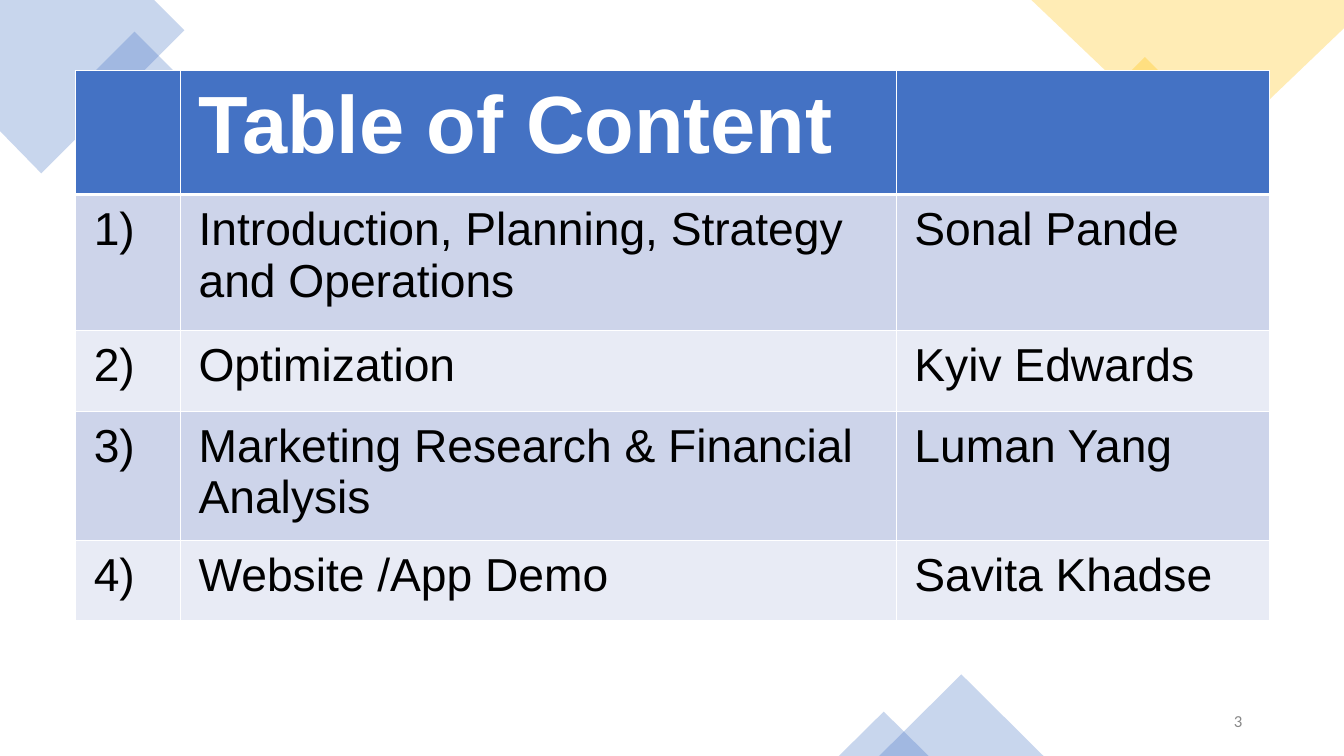
from lxml import etree
from pptx import Presentation
from pptx import util as u
from pptx.dml.color import RGBColor
from pptx.enum import shapes, text
from pptx.oxml import ns

COLOURS = {
    "blue": "4472C4",
    "gold": "FFC000",
    "band_dark": "CDD4EA",
    "band_light": "E8EBF5",
    "white": "FFFFFF",
    "black": "000000",
    "grey": "888888",
}


class SlideBuilder:
    """Holds the style and the current slide."""

    alpha = 29
    cell_margins = (0.18, 0.09)

    def __init__(self, page):
        self.page = page

    def colour(self, name):
        return RGBColor.from_string(COLOURS[name])

    def tint(self, shape, name):
        """Give a shape a see-through fill with no outline or shadow."""
        shape.shadow.inherit = False
        shape.line.fill.background()
        shape.fill.solid()
        shape.fill.fore_color.rgb = self.colour(name)
        srgb = shape._element.spPr.find(".//" + ns.qn("a:srgbClr"))
        etree.SubElement(srgb, ns.qn("a:alpha"), val=str(self.alpha * 1000))

    def preset(self, kind, place, name, rotation=0):
        shape = self.page.shapes.add_shape(kind, *map(u.Inches, place))
        shape.rotation = rotation
        self.tint(shape, name)

    def polygon(self, points, name):
        corners = [(u.Inches(x), u.Inches(y)) for x, y in points]
        builder = self.page.shapes.build_freeform(*corners[0])
        builder.add_line_segments(corners[1:], close=True)
        self.tint(builder.convert_to_shape(), name)

    def add_span(self, para, words, size, font, name, bold=False):
        span = para.add_run()
        span.text = words
        span.font.size = u.Pt(size)
        span.font.name = font
        span.font.bold = bold
        span.font.color.rgb = self.colour(name)

    def label(self, place, words, size, font, name):
        box = self.page.shapes.add_textbox(*map(u.Inches, place))
        frame = box.text_frame
        frame.word_wrap = True
        frame.vertical_anchor = text.MSO_ANCHOR.MIDDLE
        para = frame.paragraphs[0]
        para.alignment = text.PP_ALIGN.RIGHT
        self.add_span(para, words, size, font, name)

    def borders(self, cell, top, bottom):
        properties = cell._tc.get_or_add_tcPr()
        for side, width in (("L", 1), ("R", 1), ("T", top), ("B", bottom)):
            line = etree.SubElement(properties, ns.qn("a:ln" + side), w=str(u.Pt(width)))
            fill = etree.SubElement(line, ns.qn("a:solidFill"))
            etree.SubElement(fill, ns.qn("a:srgbClr"), val=COLOURS["white"])

    def cell(self, cell, words, row):
        header = row == 0
        self.borders(cell, 3 if row == 1 else 1, 3 if header else 1)
        cell.fill.solid()
        band = "band_dark" if row % 2 else "band_light"
        cell.fill.fore_color.rgb = self.colour("blue" if header else band)
        across, down = map(u.Inches, self.cell_margins)
        cell.margin_left = cell.margin_right = across
        cell.margin_top = cell.margin_bottom = down
        if words:
            style = (58, "Arial", "white", True) if header else (33, "Arial", "black")
            self.add_span(cell.text_frame.paragraphs[0], words, *style)

    def table(self, left, top, widths, heights, rows):
        place = map(u.Inches, (left, top, sum(widths), sum(heights)))
        table = self.page.shapes.add_table(len(heights), len(widths), *place).table
        for column, width in zip(table.columns, widths):
            column.width = u.Inches(width)
        for index, (height, values) in enumerate(zip(heights, rows)):
            table.rows[index].height = u.Inches(height)
            for number, words in enumerate(values):
                self.cell(table.cell(index, number), words, index)


def main():
    deck = Presentation()
    deck.slide_width, deck.slide_height = u.Inches(13.33), u.Inches(7.5)
    slide = SlideBuilder(deck.slides.add_slide(deck.slide_layouts[6]))
    square = shapes.MSO_SHAPE.RECTANGLE
    triangle = shapes.MSO_SHAPE.ISOSCELES_TRIANGLE

    # Corner decorations
    slide.polygon([(1.53, 0), (0, 0), (0, 1.3), (0.41, 1.72), (1.83, 0.3)], "blue")
    slide.preset(square, (0.98, 0.46, 0.71, 0.71), "blue", 315)
    slide.preset(square, (10.98, 0.72, 0.75, 0.75), "gold", 315)
    slide.polygon([(13.33, 0), (10.23, 0), (11.93, 1.62), (13.33, 0.28)], "gold")

    # Bottom decorations
    slide.preset(triangle, (8.72, 6.69, 1.63, 0.81), "blue")
    slide.preset(triangle, (8.32, 7.06, 0.89, 0.44), "blue")

    # Contents table
    topics = [
        ("Introduction, Planning, Strategy and Operations", "Sonal Pande"),
        ("Optimization", "Kyiv Edwards"),
        ("Marketing Research & Financial Analysis", "Luman Yang"),
        ("Website /App Demo", "Savita Khadse"),
    ]
    rows = [("", "Table of Content", "")]
    rows += [(f"{number})", *topic) for number, topic in enumerate(topics, 1)]
    slide.table(0.75, 0.7, (1.04, 7.1, 3.7), (1.23, 1.35, 0.8, 1.28, 0.8), rows)

    # Slide number
    slide.label((9.42, 6.95, 3, 0.4), "3", 12, "Calibri", "grey")

    deck.save("out.pptx")


if __name__ == "__main__":
    main()
